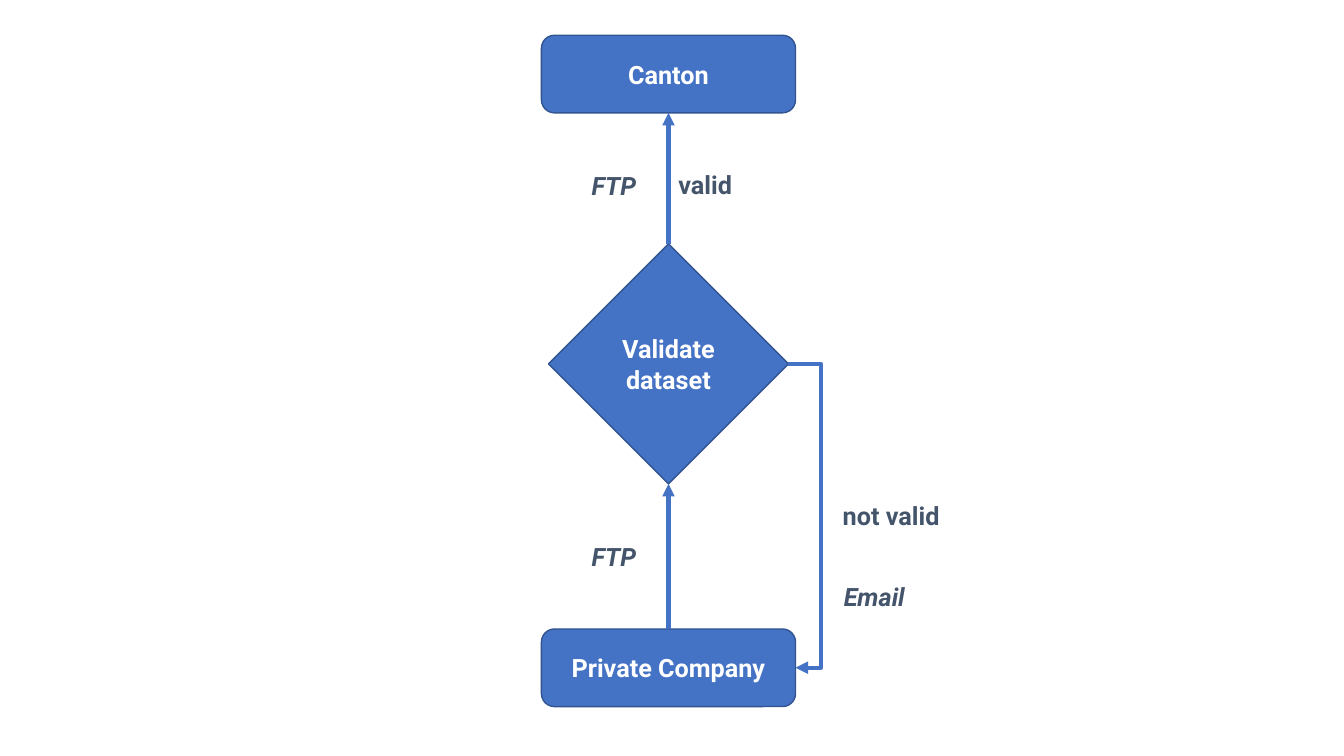
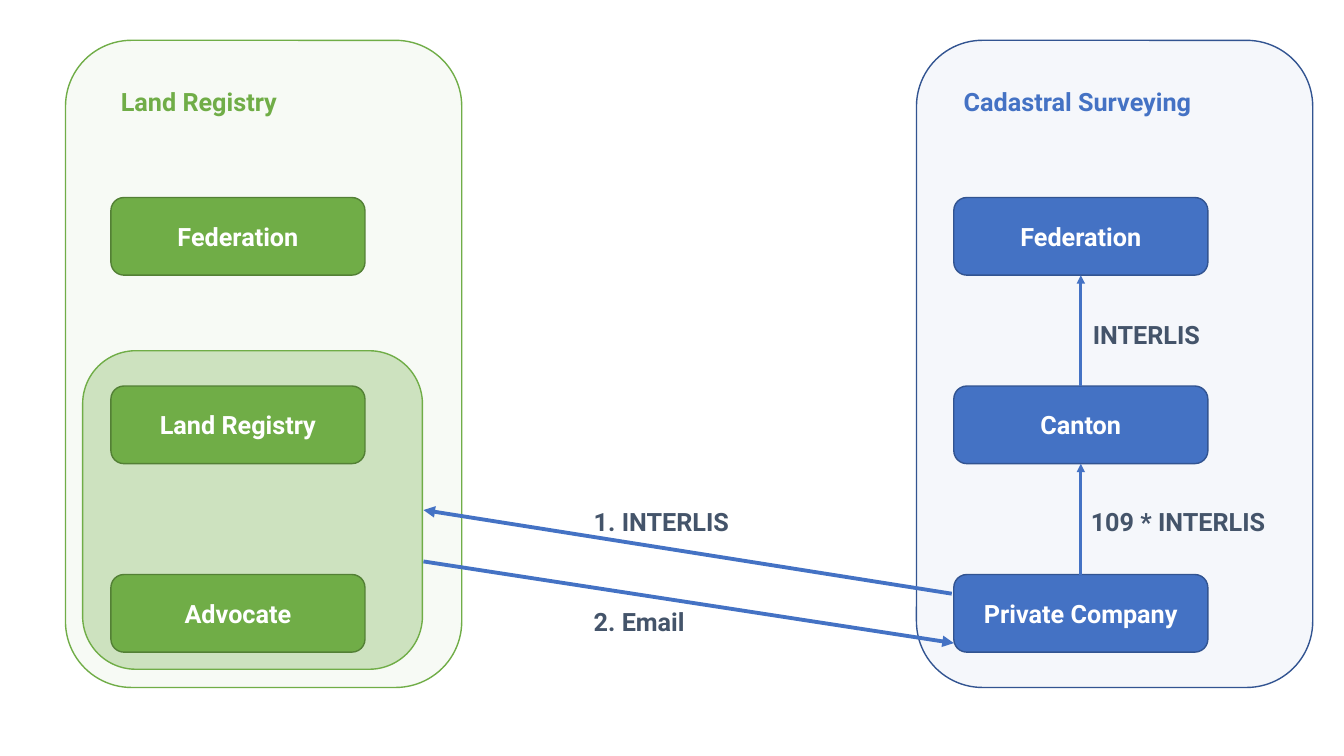
"""Build two slides on the exchange of cadastral surveying data."""
from dataclasses import dataclass

from lxml import etree
from pptx import Presentation
from pptx.dml.color import RGBColor
from pptx.enum.shapes import MSO_CONNECTOR, MSO_SHAPE
from pptx.enum.text import MSO_ANCHOR, MSO_AUTO_SIZE, PP_ALIGN
from pptx.oxml.ns import qn
from pptx.util import Emu, Pt

PX = 9144
ROUND, DIAMOND = MSO_SHAPE.ROUNDED_RECTANGLE, MSO_SHAPE.DIAMOND
STRAIGHT, ELBOW = MSO_CONNECTOR.STRAIGHT, MSO_CONNECTOR.ELBOW
MIDDLE, CENTER = MSO_ANCHOR.MIDDLE, PP_ALIGN.CENTER
GROW = MSO_AUTO_SIZE.SHAPE_TO_FIT_TEXT
TOP, BOTTOM, RIGHT = 0, 2, 3


@dataclass(frozen=True)
class Theme:
    """Colours, type and line sizes."""
    font: str = "Roboto"
    size: int = 18
    blue: str = "4472C4"
    navy: str = "325491"
    green: str = "70AD47"
    forest: str = "538035"
    slate: str = "44546A"
    white: str = "FFFFFF"
    edge: float = 1
    thin: float = 2
    mid: float = 2.75
    thick: float = 3


T = Theme()
BOX_W, BOX_H = 252, 77
TEXT_W, TEXT_H = 291, 40

FLOW_X, BEND_X = 537, 814
FLOW = [
    ("Canton", ROUND, (FLOW_X, 35, BOX_W, BOX_H)),
    ("Validate dataset", DIAMOND, (544, 242, 238, 238)),
    ("Private Company", ROUND, (FLOW_X, 624, BOX_W, BOX_H)),
]
FLOW_NOTES = [
    ("valid", 663, 163, 151, False),
    ("not valid", 826, 491, 151, False),
    ("FTP", 577, 532, 90, True),
    ("FTP", 577, 164, 90, True),
    ("Email", 827, 572, 88, True),
]

PANELS = [
    ((65, 40, 393, 642), T.green, T.green, 5),
    ((82, 348, 337, 316), T.green, T.green, 31),
    ((909, 40, 393, 642), T.blue, T.navy, 5),
]
ROW_Y, ROW_STEP, HEAD_Y = 196, 187, 81
COLUMNS = [
    ("Land Registry", 110, T.green, T.forest,
     ["Federation", "Land Registry", "Advocate"]),
    ("Cadastral Surveying", 946, T.blue, T.navy,
     ["Federation", "Canton", "Private Company"]),
]
LINKS = [((944, 589), (420, 506)), ((420, 557), (946, 638))]
LINK_NOTES = [
    ("109 * INTERLIS", 1072, 497),
    ("INTERLIS", 1074, 312),
    ("1. INTERLIS", 579, 497),
    ("2. Email", 579, 597),
]


def px(*vals):
    return [Emu(round(v * PX)) for v in vals]


def rgb(code):
    return RGBColor.from_string(code)


def write(frame, text, color, italic=False):
    frame.word_wrap = True
    frame.text = text
    font = frame.paragraphs[0].runs[0].font
    font.name, font.size, font.color.rgb = T.font, Pt(T.size), rgb(color)
    font.bold = True
    if italic:
        font.italic = True


def shape(slide, kind, area, fill, line, alpha=None):
    item = slide.shapes.add_shape(kind, *px(*area))
    item.shadow.inherit = False
    item.fill.solid()
    item.fill.fore_color.rgb = rgb(fill)
    if alpha is not None:
        color = item._element.spPr.find(qn("a:solidFill")).find(qn("a:srgbClr"))
        etree.SubElement(color, qn("a:alpha"), val=str(alpha * 1000))
    item.line.color.rgb = rgb(line)
    item.line.width = Pt(T.edge)
    return item


def box(slide, text, kind, area, fill=T.blue, line=T.navy):
    item = shape(slide, kind, area, fill, line)
    frame = item.text_frame
    write(frame, text, T.white)
    frame.vertical_anchor = MIDDLE
    frame.paragraphs[0].alignment = CENTER
    return item


def note(slide, text, x, y, width=TEXT_W, color=T.slate, italic=False):
    frame = slide.shapes.add_textbox(*px(x, y, width, TEXT_H)).text_frame
    write(frame, text, color, italic)
    frame.auto_size = GROW


def arrow(slide, width, start=(0, 0), end=(0, 0), kind=STRAIGHT):
    item = slide.shapes.add_connector(kind, *px(*start, *end))
    item.line.color.rgb = rgb(T.blue)
    item.line.width = Pt(width)
    etree.SubElement(item.line._get_or_add_ln(), qn("a:tailEnd"), type="triangle")
    etree.SubElement(item._element.spPr, qn("a:effectLst"))
    return item


def join(slide, width, first, last, sites=(TOP, BOTTOM), kind=STRAIGHT):
    item = arrow(slide, width, kind=kind)
    item.begin_connect(first, sites[0])
    item.end_connect(last, sites[1])
    return item


def bend(item, x):
    ratio = (x * PX - item.begin_x) / (item.end_x - item.begin_x)
    geom = item._element.spPr.find(qn("a:prstGeom"))
    guides = geom.find(qn("a:avLst"))
    if guides is None:
        guides = etree.SubElement(geom, qn("a:avLst"))
    etree.SubElement(guides, qn("a:gd"), name="adj1",
                     fmla=f"val {round(ratio * 100000)}")


def flow(slide):
    canton, check, firm = [box(slide, *row) for row in FLOW]
    join(slide, T.thick, firm, check)
    join(slide, T.thick, check, canton)
    bend(join(slide, T.thick, check, firm, (RIGHT, RIGHT), ELBOW), BEND_X)
    for text, x, y, width, italic in FLOW_NOTES:
        note(slide, text, x, y, width, italic=italic)


def exchange(slide):
    for area, fill, line, alpha in PANELS:
        shape(slide, ROUND, area, fill, line, alpha)
    for head, x, fill, line, names in COLUMNS:
        note(slide, head, x, HEAD_Y, color=fill)
        boxes = [box(slide, name, ROUND,
                     (x, ROW_Y + i * ROW_STEP, BOX_W, BOX_H), fill, line)
                 for i, name in enumerate(names)]
    for upper, lower in zip(boxes, boxes[1:]):
        join(slide, T.thin, lower, upper)
    for start, end in LINKS:
        arrow(slide, T.mid, start, end)
    for text, x, y in LINK_NOTES:
        note(slide, text, x, y)


def main():
    deck = Presentation()
    deck.slide_width, deck.slide_height = px(1333, 750)
    for draw in (flow, exchange):
        draw(deck.slides.add_slide(deck.slide_layouts[6]))
    deck.save("out.pptx")


if __name__ == "__main__":
    main()
